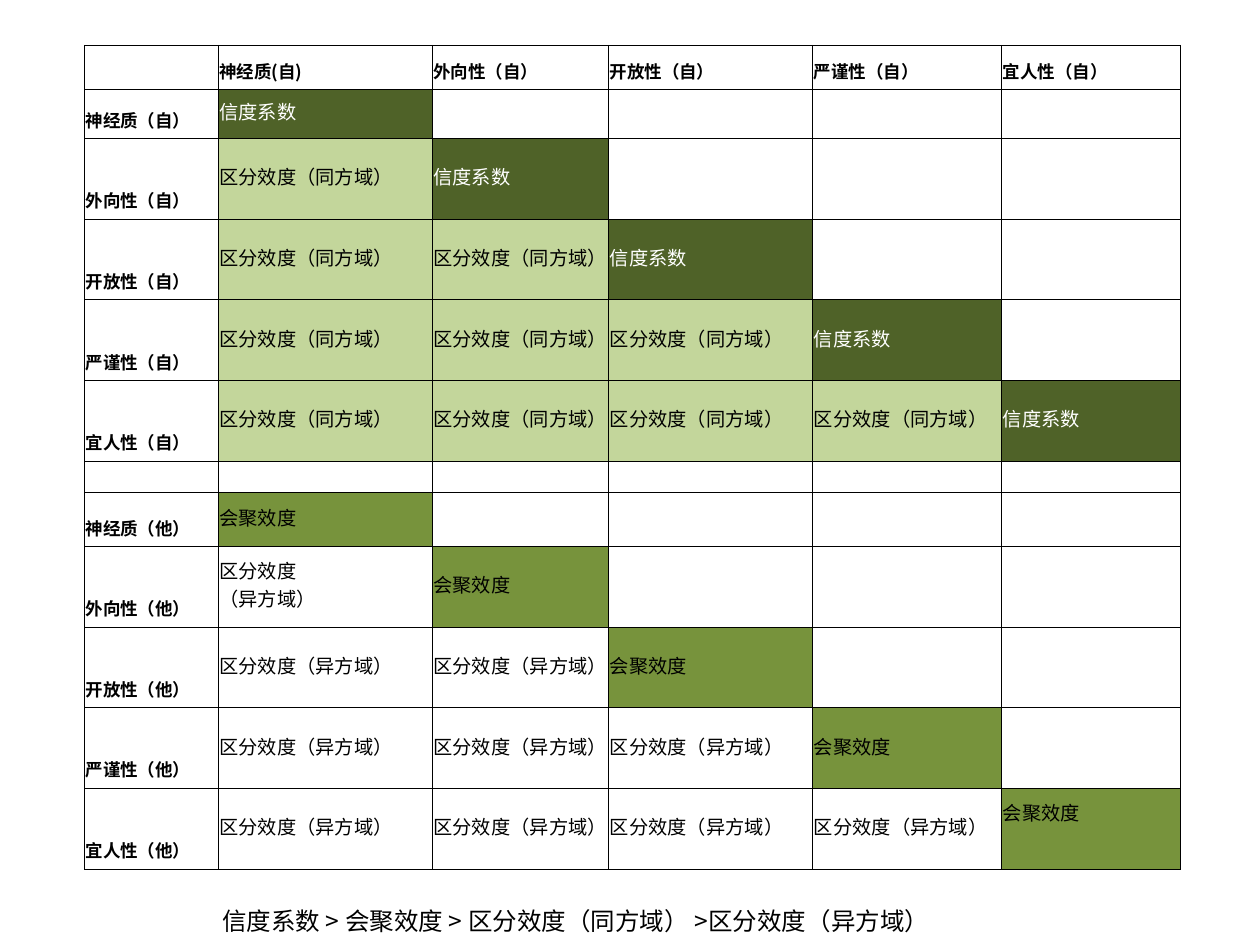
"""Build a trait-by-rater validity matrix slide with a summary line."""
from lxml import etree
from pptx import Presentation
from pptx import util as u
from pptx.dml import color
from pptx.enum import text
from pptx.oxml import ns

FONT = "Noto Sans CJK SC"
TRAITS = ["神经质", "外向性", "开放性", "严谨性", "宜人性"]
COLS = [1.06, 1.7, 1.4, 1.62, 1.5, 1.42]
ROWS = [0.35, 0.39] + [0.64] * 4 + [0.21, 0.43] + [0.64] * 4
BLOCKS = [
    (1, "自", "信度系数", "4F6228", "FFFFFF", "区分效度（同方域）", "C3D69B"),
    (7, "他", "会聚效度", "77933C", "000000", "区分效度（异方域）", None),
]


def style(tf, size, rgb="000000", bold=False):
    for p in tf.paragraphs:
        for r in p.runs:
            r.font.size = u.Pt(size)
            r.font.bold = bold
            r.font.name = FONT
            r.font.color.rgb = color.RGBColor.from_string(rgb)
            etree.SubElement(r.font._element, ns.qn("a:ea"), typeface=FONT)


def fill_cell(cell, words, size=11, rgb="000000", fill=None, header=False):
    cell.text_frame.text = words
    style(cell.text_frame, size, rgb, header)
    cell.vertical_anchor = text.MSO_ANCHOR.BOTTOM if header else text.MSO_ANCHOR.MIDDLE
    if fill:
        cell.fill.solid()
        cell.fill.fore_color.rgb = color.RGBColor.from_string(fill)


prs = Presentation()
prs.slide_width, prs.slide_height = u.Inches(10), u.Inches(7.5)
s = prs.slides.add_slide(prs.slide_layouts[6])

table = s.shapes.add_table(len(ROWS), len(COLS), u.Inches(0.67), u.Inches(0.36),
                           u.Inches(8.71), u.Inches(6.52)).table
table.first_row = table.horz_banding = False
for col, width in zip(table.columns, COLS):
    col.width = u.Inches(width)
for row, height in zip(table.rows, ROWS):
    row.height = u.Inches(height)

for cell in table.iter_cells():
    cell.margin_left = cell.margin_right = cell.margin_top = u.Inches(0.01)
    cell.margin_bottom = u.Inches(0.05)
    tcPr = cell._tc.get_or_add_tcPr()
    for side in ("lnL", "lnR", "lnT", "lnB"):
        ln = etree.SubElement(tcPr, ns.qn(f"a:{side}"), w=str(u.Pt(0.5)))
        solid = etree.SubElement(ln, ns.qn("a:solidFill"))
        etree.SubElement(solid, ns.qn("a:srgbClr"), val="000000")
    cell.fill.background()
    end = etree.SubElement(cell.text_frame.paragraphs[0]._p, ns.qn("a:endParaRPr"))
    end.set("sz", "1100")

for i, trait in enumerate(TRAITS):
    label = f"{trait}(自)" if i == 0 else f"{trait}（自）"
    fill_cell(table.cell(0, i + 1), label, 10, header=True)

for top, rater, diagonal, dark, rgb, lower, light in BLOCKS:
    for i, trait in enumerate(TRAITS):
        fill_cell(table.cell(top + i, 0), f"{trait}（{rater}）", 10, header=True)
        for j in range(i):
            fill_cell(table.cell(top + i, j + 1), lower, fill=light)
        fill_cell(table.cell(top + i, i + 1), diagonal, rgb=rgb, fill=dark)

fill_cell(table.cell(8, 1), "区分效度\n（异方域）")
table.cell(11, 5).margin_bottom = u.Inches(0.27)

sp = s.shapes.add_textbox(u.Inches(0.43), u.Inches(7.14), u.Inches(8.28), u.Inches(0.34))
tf = sp.text_frame
tf.word_wrap = True
tf.auto_size = text.MSO_AUTO_SIZE.SHAPE_TO_FIT_TEXT
tf.text = "信度系数 > 会聚效度 > 区分效度（同方域） >区分效度（异方域）"
tf.paragraphs[0].alignment = text.PP_ALIGN.CENTER
style(tf, 14)

prs.save("out.pptx")
